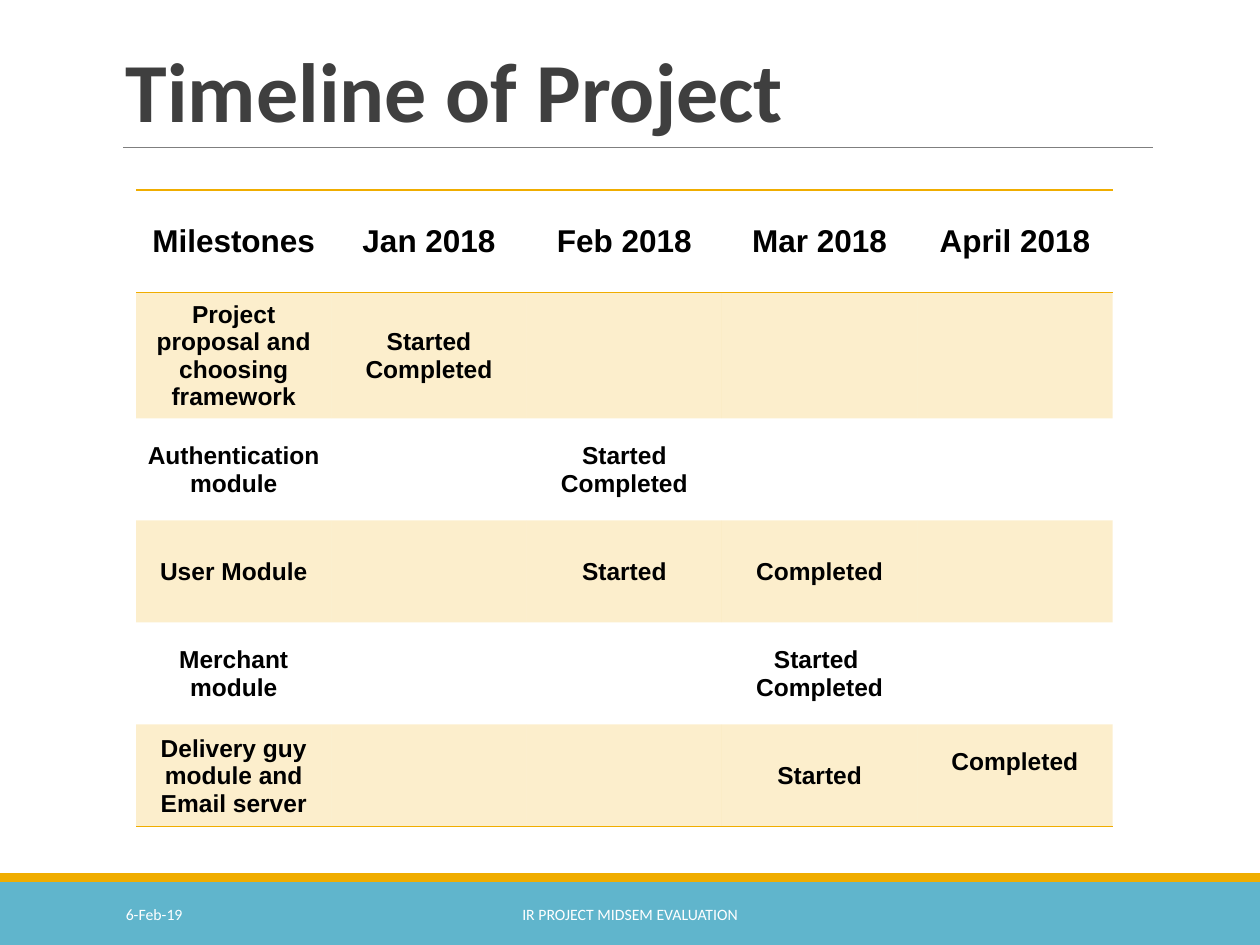
from lxml import etree
from pptx import Presentation
from pptx.dml.color import RGBColor
from pptx.enum.shapes import MSO_CONNECTOR, MSO_SHAPE
from pptx.enum.text import MSO_ANCHOR, PP_ALIGN
from pptx.oxml.ns import qn
from pptx.util import Inches, Pt

STRAIGHT = MSO_CONNECTOR.STRAIGHT
RECTANGLE = MSO_SHAPE.RECTANGLE
MIDDLE, BOTTOM = MSO_ANCHOR.MIDDLE, MSO_ANCHOR.BOTTOM
LEFT, CENTER = PP_ALIGN.LEFT, PP_ALIGN.CENTER

GOLD, TEAL, GREY = "F0AD00", "60B5CC", "7F7F7F"
WHITE, BLACK, CHARCOAL = "FFFFFF", "000000", "3F3F3F"

HEADINGS = ["Milestones", "Jan 2018", "Feb 2018", "Mar 2018", "April 2018"]
SCHEDULE = [
    ["Project proposal and choosing framework", "Started\nCompleted", "", "", ""],
    ["Authentication module", "", "Started\nCompleted", "", ""],
    ["User Module", "", "Started", "Completed", ""],
    ["Merchant module", "", "", "Started \nCompleted", ""],
    ["Delivery guy module and Email server", "", "", "Started", "Completed"],
]
ROW_HEIGHTS = [0.81, 1, 0.81, 0.81, 0.81, 0.81]
COLUMN_WIDTH = 1.55


def color(hex_value):
    return RGBColor.from_string(hex_value)


def write(frame, text, size, font="Calibri", fill=BLACK, bold=False,
          align=LEFT, spacing=1.0):
    for index, line in enumerate(text.split("\n")):
        paragraph = frame.add_paragraph() if index else frame.paragraphs[0]
        paragraph.alignment = align
        paragraph.line_spacing = spacing
        run = paragraph.add_run()
        run.text = line
        run.font.name = font
        run.font.size = Pt(size)
        run.font.bold = bold
        run.font.color.rgb = color(fill)


class TimelineSlide:
    """Draws the timeline's elements on one slide in a shared style."""

    def __init__(self, slide):
        self.slide = slide
        self.shapes = slide.shapes

    def band(self, top, height, fill):
        bar = self.shapes.add_shape(
            RECTANGLE, 0, Inches(top), Inches(10), Inches(height))
        bar.shadow.inherit = False
        bar.fill.solid()
        bar.fill.fore_color.rgb = color(fill)
        bar.line.fill.background()

    def rule(self, left, right, y):
        line = self.shapes.add_connector(
            STRAIGHT, Inches(left), Inches(y), Inches(right), Inches(y))
        line.line.color.rgb = color(GREY)
        line.line.width = Pt(0.75)
        etree.SubElement(line._element.spPr, qn("a:effectLst"))

    def label(self, box, text, size, anchor=MIDDLE, **style):
        frame = self.shapes.add_textbox(*map(Inches, box)).text_frame
        frame.word_wrap = True
        frame.vertical_anchor = anchor
        write(frame, text, size, **style)

    def borders(self, cell, gold_sides):
        properties = cell._tc.get_or_add_tcPr()
        for side in "LRTB":
            edge = etree.SubElement(properties, qn(f"a:ln{side}"), w=str(Pt(1)))
            if side in gold_sides:
                paint = etree.SubElement(edge, qn("a:solidFill"))
                etree.SubElement(paint, qn("a:srgbClr"), val=GOLD)
            else:
                etree.SubElement(edge, qn("a:noFill"))

    def shade(self, cell, tinted):
        if not tinted:
            cell.fill.background()
            return
        cell.fill.solid()
        cell.fill.fore_color.rgb = color(GOLD)
        tint = cell._tc.tcPr.find(f"{qn('a:solidFill')}/{qn('a:srgbClr')}")
        etree.SubElement(tint, qn("a:alpha"), val="20000")

    def schedule(self, left, top, rows):
        table = self.shapes.add_table(
            len(rows), len(HEADINGS), Inches(left), Inches(top),
            Inches(COLUMN_WIDTH * len(HEADINGS)), Inches(sum(ROW_HEIGHTS))).table
        table.horz_banding = False
        table.first_row = False
        for column in table.columns:
            column.width = Inches(COLUMN_WIDTH)
        last = len(rows) - 1
        for r, entries in enumerate(rows):
            table.rows[r].height = Inches(ROW_HEIGHTS[r])
            for c, entry in enumerate(entries):
                cell = table.cell(r, c)
                cell.vertical_anchor = MIDDLE
                cell.margin_left = cell.margin_right = cell.margin_top = Inches(0.01)
                cell.margin_bottom = 0
                self.borders(cell, {0: "TB", 1: "T", last: "B"}.get(r, ""))
                self.shade(cell, r % 2 == 1)
                write(cell.text_frame, entry, 14 if r else 18,
                      font="Arial", bold=True, align=CENTER)
        table.cell(last, len(HEADINGS) - 1).margin_bottom = Inches(0.22)


def main():
    deck = Presentation()
    deck.slide_width, deck.slide_height = Inches(10), Inches(7.5)
    page = TimelineSlide(deck.slides.add_slide(deck.slide_layouts[6]))
    page.band(7, 0.5, TEAL)
    page.band(6.93, 0.07, GOLD)
    page.rule(0.98, 9.15, 1.17)
    page.label((0.9, 0.31, 8.25, 0.85), "Timeline of Project", 48,
               anchor=BOTTOM, fill=CHARCOAL, bold=True, spacing=0.85)
    page.schedule(1.08, 1.51, [HEADINGS] + SCHEDULE)
    page.label((0.9, 7.06, 2.03, 0.4), "6-Feb-19", 9, fill=WHITE)
    page.label((3.02, 7.06, 3.96, 0.4), "IR PROJECT MIDSEM EVALUATION", 9,
               fill=WHITE, align=CENTER)
    deck.save("out.pptx")


if __name__ == "__main__":
    main()
